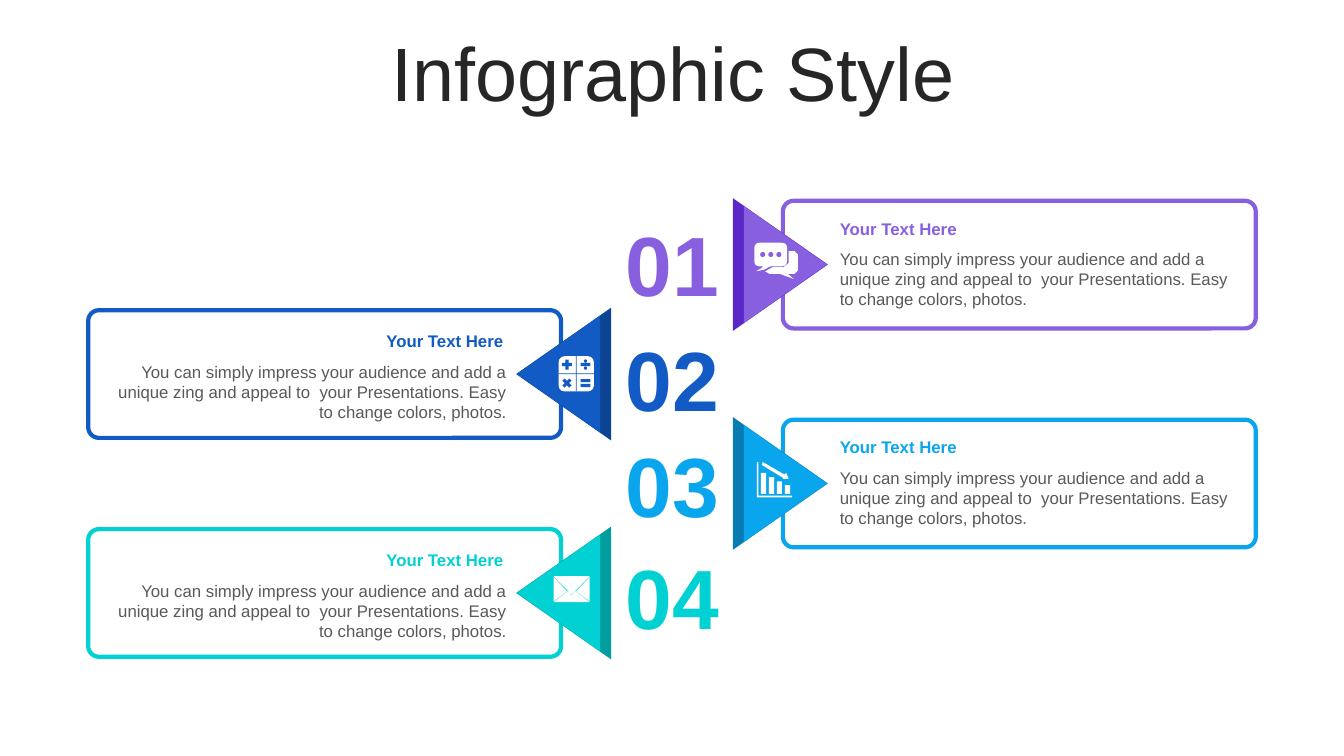
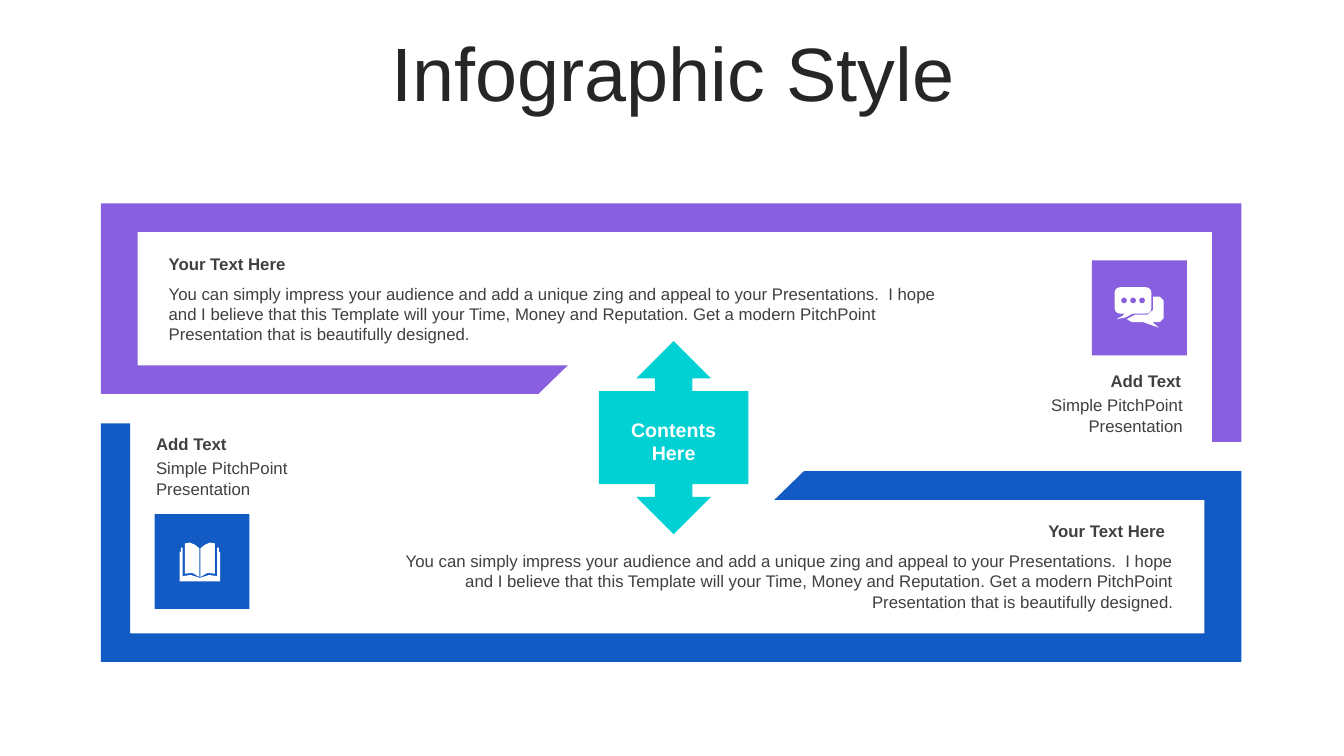
from pptx import Presentation
from pptx.dml.color import RGBColor
from pptx.enum.shapes import MSO_SHAPE
from pptx.enum.text import MSO_ANCHOR, PP_ALIGN
from pptx.util import Emu, Inches, Pt

CELL = Inches(13.3333) / 160
COLUMNS, ROWS = 160, 90
FONT = "Arial"
PURPLE, BLUE, SKY, TEAL = "875FDF", "125AC4", "0AA6ED", "01D1D3"
WHITE, TITLE_INK, DARK_INK, GREY_INK = "FFFFFF", "262626", "404040", "595959"
CARD_TEXT = ("You can simply impress your audience and add a unique zing and appeal to  your "
             "Presentations. Easy to change colors, photos.")
FRAME_TEXT = ("You can simply impress your audience and add a unique zing and appeal to your "
              "Presentations.  I hope and I believe that this Template will your Time, Money and "
              "Reputation. Get a modern PitchPoint Presentation that is beautifully designed.")


def cells(count):
    return Emu(round(count * CELL))


def rgb(color):
    return RGBColor.from_string(color)


def paint(shape, fill, line=None):
    shape.shadow.inherit = False
    shape.fill.solid()
    shape.fill.fore_color.rgb = rgb(fill)
    if line:
        shape.line.color.rgb = rgb(line)
        shape.line.width = Pt(3)
    else:
        shape.line.fill.background()
    return shape


def block(slide, kind, x, y, width, height, fill, line=None):
    shape = slide.shapes.add_shape(kind, cells(x), cells(y), cells(width), cells(height))
    return paint(shape, fill, line)


def outline(slide, contours, fill, x=0, y=0, scale=1):
    placed = [[(cells(x + px * scale), cells(y + py * scale)) for px, py in contour]
              for contour in contours]
    builder = slide.shapes.build_freeform(*placed[0][0])
    for index, contour in enumerate(placed):
        if index:
            builder.move_to(*contour[0])
        builder.add_line_segments(contour[1:], close=True)
    return paint(builder.convert_to_shape(), fill)


def write(frame, text, size, color, bold=False, align=PP_ALIGN.LEFT):
    frame.word_wrap = True
    frame.text = text
    for paragraph in frame.paragraphs:
        paragraph.alignment = align
        for run in paragraph.runs:
            run.font.name = FONT
            run.font.size = Pt(size)
            run.font.bold = bold
            run.font.color.rgb = rgb(color)


def label(slide, x, y, width, height, text, size, color, bold=False, align=PP_ALIGN.LEFT):
    box = slide.shapes.add_textbox(cells(x), cells(y), cells(width), cells(height))
    write(box.text_frame, text, size, color, bold, align)
    return box.text_frame


def passage(slide, x, y, width, heading, body, heading_ink, body_ink, align,
            gap=3.6, trim=0, height=8.5):
    label(slide, x, y, width - trim, 3.6, heading, 12, heading_ink, True, align)
    label(slide, x, y + gap, width, height, body, 12, body_ink, False, align)


def titled_slide(deck):
    slide = deck.slides.add_slide(deck.slide_layouts[6])
    title = label(slide, 4.2, 4.4, 151.9, 9.5, "Infographic Style", 54, TITLE_INK,
                  align=PP_ALIGN.CENTER)
    title.vertical_anchor = MSO_ANCHOR.MIDDLE
    title.paragraphs[0].line_spacing = 0.9
    return slide


def chat_icon(slide, x, y, accent, scale=1):
    back = [(4.1, 1), (4.8, 1), (5.2, 1.4), (5.2, 3.3), (4.8, 3.7), (4, 3.7), (4.7, 4.3),
            (3, 3.7), (1.8, 3.7), (1.3, 3.4), (2.2, 2.9), (3.5, 2.9), (4.1, 2.4)]
    tail = [(1.1, 2.7), (0.9, 3), (0.2, 3.4), (1.2, 3.2), (2.1, 2.7)]
    outline(slide, [back], WHITE, x, y, scale)
    outline(slide, [tail], WHITE, x, y, scale)
    bubble = block(slide, MSO_SHAPE.ROUNDED_RECTANGLE, x, y, 3.9 * scale, 2.8 * scale, WHITE)
    bubble.adjustments[0] = 0.2
    for dot in range(3):
        block(slide, MSO_SHAPE.OVAL, x + (0.7 + 0.96 * dot) * scale, y + 1.1 * scale,
              0.6 * scale, 0.6 * scale, accent)


def calculator_icon(slide, x, y, accent):
    body = block(slide, MSO_SHAPE.ROUNDED_RECTANGLE, x, y, 4.2, 4.2, WHITE)
    body.adjustments[0] = 0.17
    block(slide, MSO_SHAPE.RECTANGLE, x + 2.05, y, 0.1, 4.2, accent)
    block(slide, MSO_SHAPE.RECTANGLE, x, y + 2.05, 4.2, 0.1, accent)
    keys = [MSO_SHAPE.MATH_PLUS, MSO_SHAPE.MATH_DIVIDE,
            MSO_SHAPE.MATH_MULTIPLY, MSO_SHAPE.MATH_EQUAL]
    for index, key in enumerate(keys):
        row, column = divmod(index, 2)
        block(slide, key, x + 0.2 + 2.2 * column, y + 0.2 + 2.2 * row, 1.6, 1.6, accent)


def chart_icon(slide, x, y, accent):
    axes = [(0, 0), (0.2, 0), (0.2, 4), (4.2, 4), (4.2, 4.2), (0, 4.2)]
    arrow = [(0.7, 0), (3.3, 1.5), (3.5, 1.3), (3.8, 2), (3.1, 2), (3.15, 1.9), (0.6, 0.35)]
    bars = []
    for index, top in enumerate([1.3, 1.8, 2.3, 2.75]):
        left = 0.5 + 0.95 * index
        bars.append([(left, top), (left + 0.6, top), (left + 0.6, 3.8), (left, 3.8)])
    outline(slide, [axes, arrow, *bars], WHITE, x, y)


def mirrored(points, width):
    return [(width - x, y) for x, y in points]


def mail_icon(slide, x, y, accent):
    flap = [(0, 0), (4.3, 0), (2.15, 2.2)]
    side = [(0, 0.1), (1.6, 1.8), (0, 3)]
    base = [(1.7, 1.8), (2.15, 2.3), (2.6, 1.8), (4.3, 3.1), (0, 3.1)]
    outline(slide, [flap, side, mirrored(side, 4.3), base], WHITE, x, y)


def book_icon(slide, x, y):
    page = [(0.6, 0.1), (1.2, 0), (1.8, 0.25), (2.35, 0.7), (2.35, 4.1), (1.5, 3.6), (0.6, 3.7)]
    edge = [(0, 4.6), (0, 1.1), (0.15, 1.1), (0.15, 0.6), (0.35, 0.6), (0.35, 4),
            (1.3, 3.85), (2.4, 4.2)]
    cover = edge + mirrored(edge, 4.8)[::-1]
    outline(slide, [page, mirrored(page, 4.8), cover], WHITE, x, y)


def card(slide, top, color, shade, on_left):
    def side(x, width):
        return COLUMNS - x - width if on_left else x

    width, height = 56.3, 15.2
    frame = block(slide, MSO_SHAPE.ROUNDED_RECTANGLE, side(93.2, width), top, width, height,
                  WHITE, color)
    frame.adjustments[0] = 0.084
    for centre, base, depth, fill in [(92.9, 15.8, 11.3, shade), (93.5, 13.9, 9.9, color)]:
        pointer = block(slide, MSO_SHAPE.ISOSCELES_TRIANGLE, side(centre - base / 2, base),
                        top + (height - depth) / 2, base, depth, fill)
        pointer.rotation = 270 if on_left else 90
    passage(slide, 11.9 if on_left else 98.8, top + (1.9 if on_left else 1.5), 49.6,
            "Your Text Here", CARD_TEXT, color, GREY_INK,
            PP_ALIGN.RIGHT if on_left else PP_ALIGN.LEFT, trim=0.4)


def numbered_cards(deck):
    slide = titled_slide(deck)
    steps = [
        (PURPLE, "5928C7", 24.7, chat_icon, 89.8, 28.9),
        (BLUE, "0D4393", 38.3, calculator_icon, 66.5, 42.4),
        (SKY, "087CB2", 50.9, chart_icon, 90.1, 55),
        (TEAL, "019D9E", 64.3, mail_icon, 65.9, 68.6),
    ]
    for index, (color, shade, number_top, icon, icon_x, icon_y) in enumerate(steps):
        card(slide, 23.9 + 13.03 * index, color, shade, index % 2 == 1)
        number = label(slide, 73.2, number_top, 13.7, 13.3, f"{index + 1:02}", 60, color,
                       True, PP_ALIGN.CENTER)
        number.margin_left = number.margin_right = 0
        number.vertical_anchor = MSO_ANCHOR.MIDDLE
        icon(slide, icon_x, icon_y, color)


def facing_frames(deck):
    slide = titled_slide(deck)
    lower = [(12, 50.4), (15.5, 50.4), (15.5, 75.4), (143.4, 75.4), (143.4, 59.5),
             (92.2, 59.5), (95.7, 56.1), (147.8, 56.1), (147.8, 78.8), (12, 78.8)]
    upper = [(159.8 - x, 103 - y) for x, y in lower]
    outline(slide, [lower], BLUE)
    outline(slide, [upper], PURPLE)

    left, right = PP_ALIGN.LEFT, PP_ALIGN.RIGHT
    for x, y, width, align in [(18.9, 29.6, 96, left), (45.7, 61.4, 95.2, right)]:
        passage(slide, x, y, width, "Your Text Here", FRAME_TEXT, DARK_INK, DARK_INK, align,
                trim=1)
    for x, y, align in [(119.4, 43.6, right), (17.4, 51.1, left)]:
        passage(slide, x, y, 22.6, "Add Text", "Simple PitchPoint Presentation",
                DARK_INK, DARK_INK, align, gap=2.85, trim=0.2, height=6)

    block(slide, MSO_SHAPE.RECTANGLE, 130, 31, 11.3, 11.3, PURPLE)
    chat_icon(slide, 132.7, 34.2, PURPLE, 1.12)
    block(slide, MSO_SHAPE.RECTANGLE, 18.4, 61.2, 11.3, 11.3, BLUE)
    book_icon(slide, 21.4, 64.6)

    hub = block(slide, MSO_SHAPE.UP_DOWN_ARROW_CALLOUT, 71.3, 40.6, 17.8, 23, TEAL)
    write(hub.text_frame, "Contents\nHere", 14, WHITE, True, PP_ALIGN.CENTER)
    hub.text_frame.vertical_anchor = MSO_ANCHOR.MIDDLE
    hub.text_frame.margin_top = cells(1.4)


def main():
    deck = Presentation()
    deck.slide_width, deck.slide_height = cells(COLUMNS), cells(ROWS)
    numbered_cards(deck)
    facing_frames(deck)
    deck.save("out.pptx")


if __name__ == "__main__":
    main()
